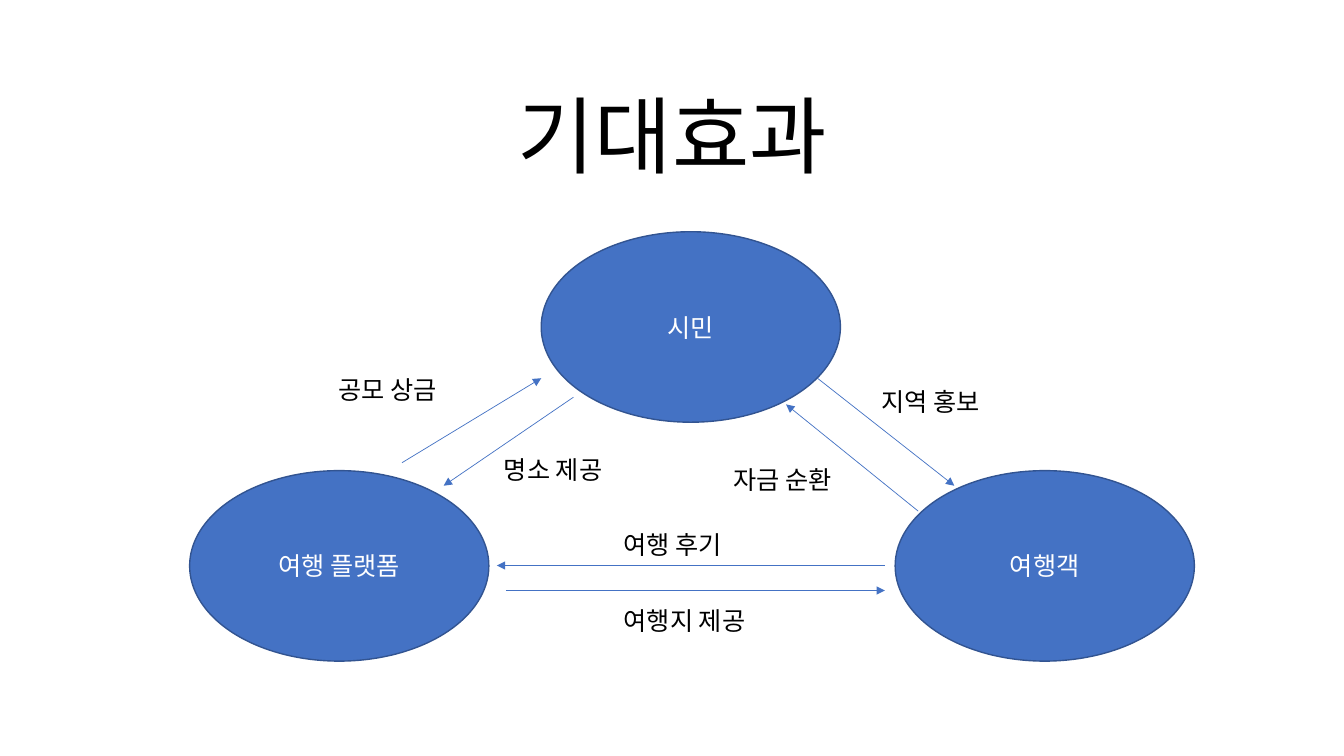
"""Build the expected-effects slide: three groups and the exchanges between them."""
from dataclasses import dataclass

from lxml.etree import SubElement
from pptx import Presentation
from pptx.dml.color import RGBColor
from pptx.enum.shapes import MSO_CONNECTOR as Connector, MSO_SHAPE as Preset
from pptx.enum.text import MSO_ANCHOR as Anchor, MSO_AUTO_SIZE as AutoSize, PP_ALIGN as Align
from pptx.oxml.ns import qn
from pptx.slide import Slide
from pptx.text.text import TextFrame
from pptx.util import Cm, Pt

FONT = "Noto Sans CJK KR"
BLUE, OUTLINE, BLACK, WHITE = "4472C4", "325491", "000000", "FFFFFF"
GROUP_WIDTH, GROUP_HEIGHT = 7.54, 4.8
LABEL_HEIGHT = 1.02


@dataclass(frozen=True)
class Group:
    name: str
    left: float
    top: float


@dataclass(frozen=True)
class Label:
    text: str
    left: float
    top: float
    width: float = 3.4


@dataclass(frozen=True)
class Exchange:
    start: tuple[float, float]
    end: tuple[float, float]
    label: Label


GROUPS = [
    Group("시민", 13.64, 5.84),
    Group("여행객", 22.56, 11.86),
    Group("여행 플랫폼", 4.78, 11.86),
]
EXCHANGES = [
    Exchange((20.6, 9.53), (24.05, 12.24), Label("지역 홍보", 21.97, 9.6)),
    Exchange((22.3, 14.25), (12.52, 14.25), Label("여행 후기", 15.47, 13.21)),
    Exchange((10.13, 11.66), (13.64, 9.53), Label("공모 상금", 8.28, 9.32)),
    Exchange((14.45, 10.01), (11.18, 12.24), Label("명소 제공", 12.45, 11.33)),
    Exchange((12.75, 14.88), (22.3, 14.88), Label("여행지 제공", 15.47, 15.14, 4.09)),
    Exchange((23.14, 12.88), (19.81, 10.19), Label("자금 순환", 18.24, 11.58)),
]


def color(value: str) -> RGBColor:
    """Turn a hex string into a colour."""
    return RGBColor.from_string(value)


def apply_format(target: object, values: dict[str, object]) -> None:
    """Set each named attribute of the target."""
    for name, value in values.items():
        setattr(target, name, value)


def write_text(frame: TextFrame, text: str, size: float, hex_color: str,
               frame_format: dict[str, object], paragraph_format: dict[str, object]) -> None:
    """Write one formatted paragraph into a text frame."""
    apply_format(frame, {"word_wrap": True} | frame_format)
    paragraph = frame.paragraphs[0]
    apply_format(paragraph, paragraph_format)
    run = paragraph.add_run()
    run.text = text
    run.font.color.rgb = color(hex_color)
    apply_format(run.font, {"size": Pt(size), "name": FONT})
    SubElement(run.font._element, qn("a:ea"), typeface=FONT)


def draw_title(slide: Slide, text: str) -> None:
    """Draw the centred slide title."""
    box = slide.shapes.add_textbox(Cm(4.24), Cm(2.16), Cm(25.4), Cm(2.64))
    write_text(box.text_frame, text, 60, BLACK, {"vertical_anchor": Anchor.BOTTOM},
               {"alignment": Align.CENTER, "line_spacing": 0.9})


def draw_group(slide: Slide, group: Group) -> None:
    """Draw a group as a named ellipse."""
    shape = slide.shapes.add_shape(Preset.OVAL, Cm(group.left), Cm(group.top),
                                   Cm(GROUP_WIDTH), Cm(GROUP_HEIGHT))
    shape.shadow.inherit = False
    shape.fill.solid()
    shape.fill.fore_color.rgb = color(BLUE)
    shape.line.color.rgb = color(OUTLINE)
    shape.line.width = Pt(1)
    write_text(shape.text_frame, group.name, 18, WHITE,
               {"vertical_anchor": Anchor.MIDDLE}, {"alignment": Align.CENTER})


def draw_arrow(slide: Slide, exchange: Exchange) -> None:
    """Draw the arrow of an exchange."""
    points = [Cm(value) for value in exchange.start + exchange.end]
    arrow = slide.shapes.add_connector(Connector.STRAIGHT, *points)
    arrow.line.color.rgb = color(BLUE)
    arrow.line.width = Pt(0.5)
    SubElement(arrow.line._get_or_add_ln(), qn("a:tailEnd"), type="triangle")
    SubElement(arrow._element.spPr, qn("a:effectLst"))


def draw_label(slide: Slide, label: Label) -> None:
    """Draw the label of an exchange."""
    box = slide.shapes.add_textbox(Cm(label.left), Cm(label.top),
                                   Cm(label.width), Cm(LABEL_HEIGHT))
    write_text(box.text_frame, label.text, 18, BLACK,
               {"auto_size": AutoSize.SHAPE_TO_FIT_TEXT}, {"alignment": Align.LEFT})


def main() -> None:
    """Build and save the presentation."""
    presentation = Presentation()
    apply_format(presentation, {"slide_width": Cm(33.87), "slide_height": Cm(19.05)})
    slide = presentation.slides.add_slide(presentation.slide_layouts[6])
    draw_title(slide, "기대효과")
    for group in GROUPS:
        draw_group(slide, group)
    for exchange in EXCHANGES:
        draw_arrow(slide, exchange)
        draw_label(slide, exchange.label)
    presentation.save("out.pptx")


if __name__ == "__main__":
    main()
